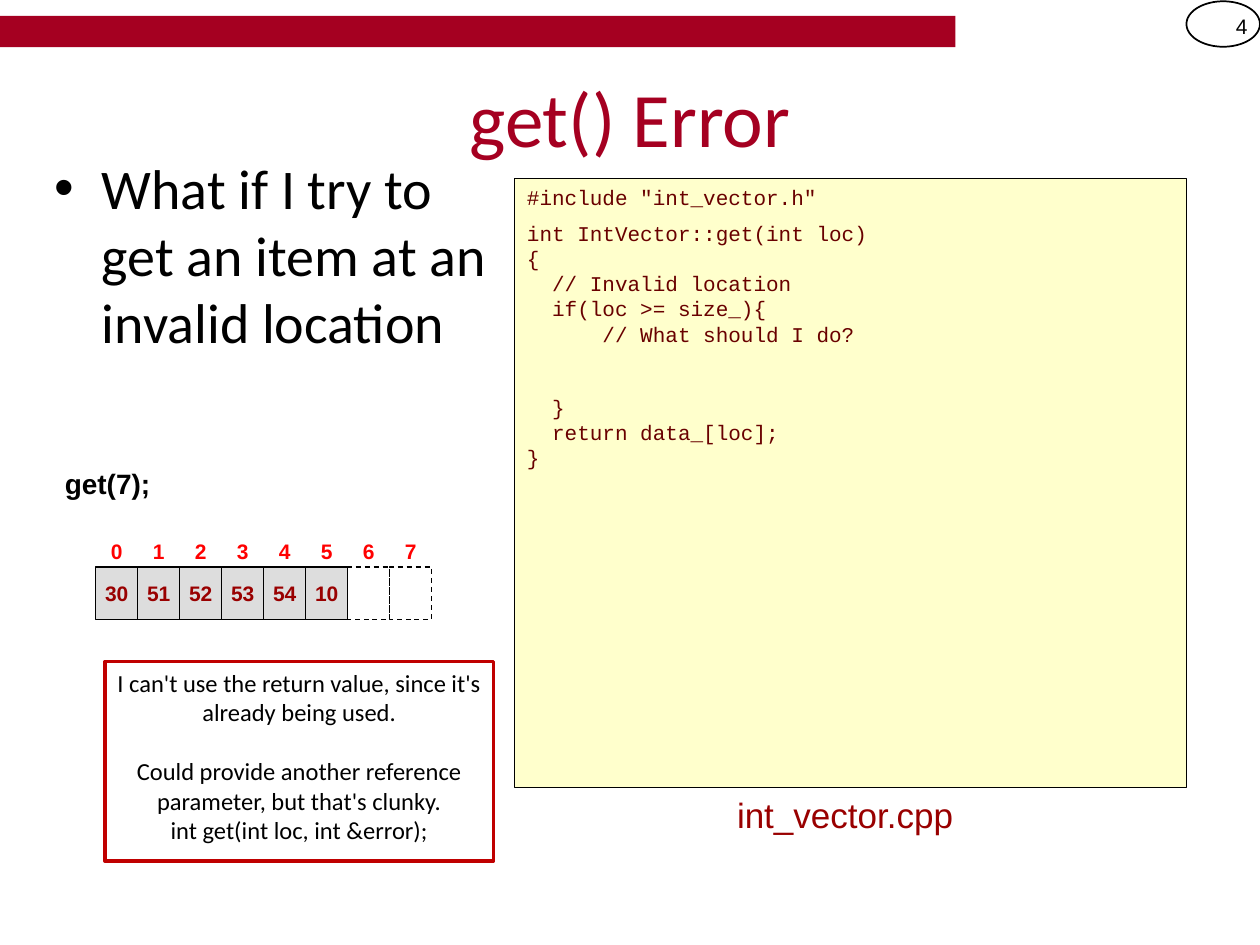
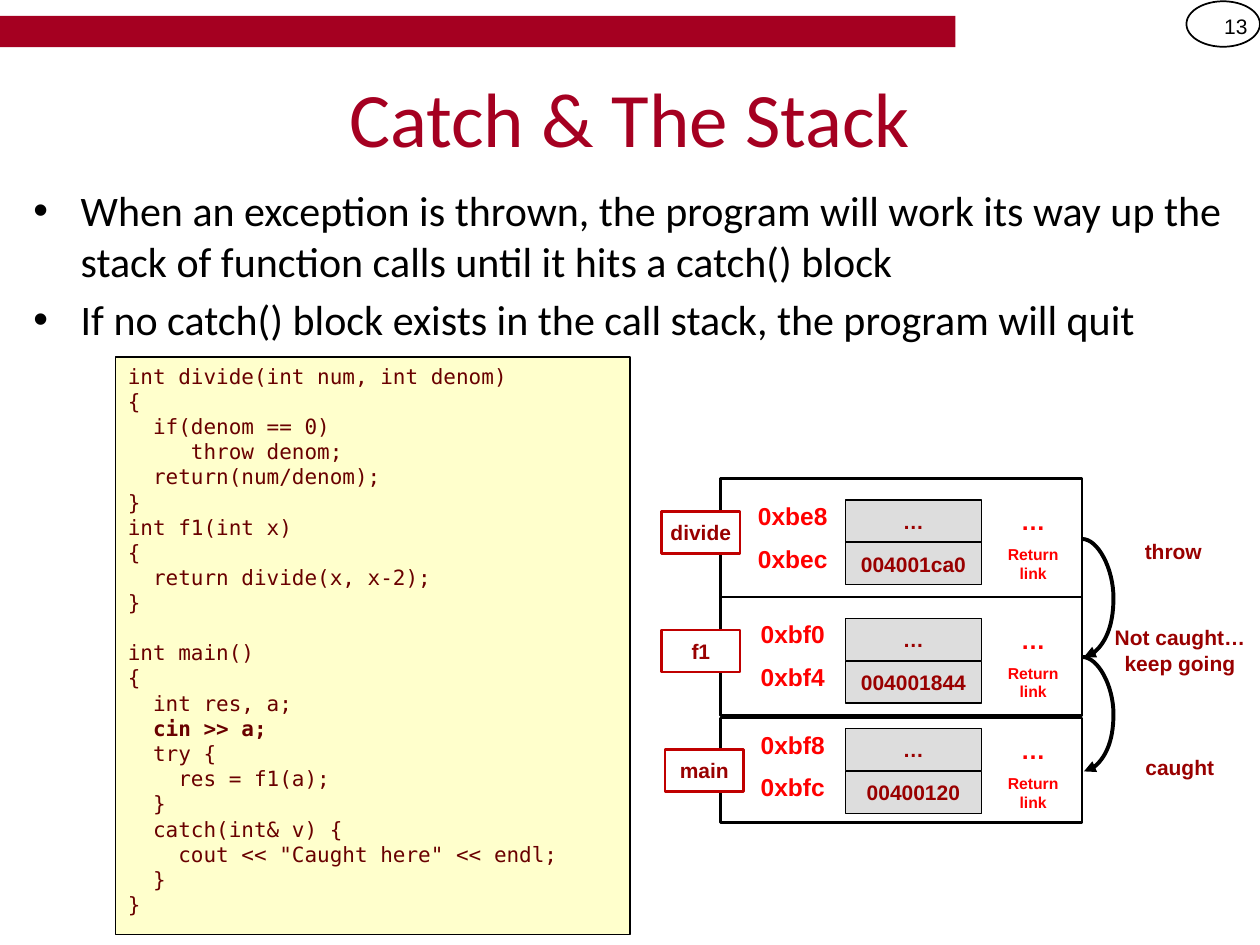
from dataclasses import dataclass

from lxml import etree
from pptx import Presentation
from pptx.dml.color import RGBColor
from pptx.enum import dml, shapes, text
from pptx.oxml import ns
from pptx.util import Pt


@dataclass(frozen=True)
class Theme:
    """Colours, fonts and type sizes of the deck."""
    band: str = "A50021"
    ink: str = "000000"
    paper: str = "FFFFFF"
    code_fill: str = "FFFFCC"
    code_ink: str = "690000"
    cell_fill: str = "DDDDDD"
    dark_red: str = "990000"
    red: str = "FF0000"
    frame_red: str = "C00000"
    body_font: str = "Calibri"
    label_font: str = "Arial"
    title_size: int = 44
    label_size: int = 12
    address_size: int = 14


THEME = Theme()
LEFT, CENTER, RIGHT = (text.PP_ALIGN.LEFT, text.PP_ALIGN.CENTER, text.PP_ALIGN.RIGHT)
TOP, MIDDLE = text.MSO_ANCHOR.TOP, text.MSO_ANCHOR.MIDDLE
RECT, OVAL = shapes.MSO_SHAPE.RECTANGLE, shapes.MSO_SHAPE.OVAL

# Text formats: run values, then paragraph and frame values
LABEL = dict(font=THEME.label_font, size=THEME.label_size, color=THEME.dark_red,
             bold=True, align=CENTER, anchor=MIDDLE, wrap=False)
INDEX = {**LABEL, "color": THEME.red}
ADDRESS = {**INDEX, "size": THEME.address_size}
LINK = {**INDEX, "size": 9}
CALL = {**LABEL, "size": 16, "color": THEME.ink, "align": LEFT}
REMARK = {**LABEL, "wrap": True}
NUMBER = {**REMARK, "bold": False, "color": THEME.ink, "align": RIGHT}
FILE_NAME = dict(font=THEME.label_font, size=20, color=THEME.dark_red, align=CENTER)
CALLOUT = dict(font=THEME.body_font, size=14, color=THEME.ink, align=CENTER)
CODE = dict(size=12, color=THEME.code_ink)
BULLETS = dict(font=THEME.body_font, color=THEME.ink, bullet=True)
TITLE = dict(font=THEME.body_font, size=THEME.title_size, color=THEME.band,
             align=CENTER, anchor=MIDDLE)

# Shape formats
CODE_BOX = dict(fill=THEME.code_fill, line=THEME.ink, weight=0.75)
CELL = dict(fill=THEME.cell_fill, line=THEME.ink, weight=0.75)
FREE_CELL = dict(line=THEME.ink, weight=0.75, dash=True)
FRAME = dict(fill=THEME.paper, line=THEME.ink, weight=1.5)
TAG = dict(fill=THEME.paper, line=THEME.frame_red, weight=1.5)

# Content; a paragraph is a string or (string, format changes)
GET_BULLETS = ["What if I try to get an item at an invalid location"]
GET_CODE = [
    '#include "int_vector.h"',
    ("int IntVector::get(int loc)", {"before": 6}),
    "{",
    "  // Invalid location",
    "  if(loc >= size_){",
    "      // What should I do?",
    ("  }", {"before": 27.2}),
    "  return data_[loc];",
    "}",
]
ARRAY_VALUES = ["30", "51", "52", "53", "54", "10", None, None]
CALLOUT_TEXT = [
    "I can't use the return value, since it's already being used.",
    ("Could provide another reference parameter, but that's clunky.", {"before": 17}),
    "int get(int loc, int &error);",
]
STACK_BULLETS = [
    "When an exception is thrown, the program will work its way up the stack of "
    "function calls until it hits a catch() block",
    "If no catch() block exists in the call stack, the program will quit",
]
STACK_CODE = [
    "int divide(int num, int denom)",
    "{",
    "  if(denom == 0)",
    "     throw denom;",
    "  return(num/denom);",
    "}",
    "int f1(int x)",
    "{",
    "  return divide(x, x-2);",
    "}",
    ("int main()", {"before": 14}),
    "{",
    "  int res, a;",
    ("  cin >> a;", {"bold": True}),
    "  try {",
    "    res = f1(a);",
    "  }",
    "  catch(int& v) {",
    '    cout << "Caught here" << endl;',
    "  }",
    "}",
]
# name, frame top and height, first cell top, tag left and top, (address, value) rows
CALL_STACK = [
    ("divide", 273.6, 67.6, 285.8, 378, 292.3, [("0xbe8", "…"), ("0xbec", "004001ca0")]),
    ("f1", 341.2, 67.6, 353.4, 378, 360, [("0xbf0", "…"), ("0xbf4", "004001844")]),
    ("main", 410.4, 59.8, 416.3, 380, 428.2, [("0xbf8", "…"), ("0xbfc", "00400120")]),
]
REMARKS = [
    (["throw"], (640, 301, 61, 27.4)),
    (["Not caught…", "keep going"], (628.6, 344.2, 91.4, 54.7)),
    (["caught"], (643.7, 424.8, 61, 27.4)),
]
ARROW_STOPS = [308, 375.4, 440.8]


def rgb(value):
    """Turn a hex string into a colour."""
    return RGBColor.from_string(value)


def indent(para, left, first, bullet=False):
    """Set the margins of a paragraph and its bullet, if it has one."""
    props = para._p.get_or_add_pPr()
    props.set("marL", str(Pt(left)))
    props.set("indent", str(Pt(first)))
    if bullet:
        font = etree.SubElement(props, ns.qn("a:buFont"))
        font.set("typeface", THEME.label_font)
        etree.SubElement(props, ns.qn("a:buChar")).set("char", "•")


def write(box, paragraphs, style):
    """Fill a shape with formatted paragraphs."""
    frame = box.text_frame
    settings = dict(word_wrap=style.get("wrap", True), auto_size=text.MSO_AUTO_SIZE.NONE,
                    vertical_anchor=style.get("anchor", TOP))
    for name, value in settings.items():
        setattr(frame, name, value)
    for number, entry in enumerate(paragraphs):
        words, changes = (entry, {}) if isinstance(entry, str) else entry
        look = {**style, **changes}
        para = frame.add_paragraph() if number else frame.paragraphs[0]
        para.alignment = look.get("align", LEFT)
        para.space_before = Pt(look.get("before", 0))
        if look.get("bullet"):
            para.space_before = Pt(look["size"] * 0.2)
            indent(para, 27, -27, bullet=True)
        span = para.add_run()
        span.text = words
        values = dict(name=look["font"], size=Pt(look["size"]), bold=look.get("bold", False))
        for name, value in values.items():
            setattr(span.font, name, value)
        span.font.color.rgb = rgb(look["color"])


def add_text(page, place, paragraphs, style):
    """Add a text box at place (left, top, width, height)."""
    box = page.shapes.add_textbox(*map(Pt, place))
    write(box, paragraphs, style)


def add_shape(page, place, look, paragraphs=(), style=LABEL, kind=RECT):
    """Add a preset shape with its fill, line and text."""
    box = page.shapes.add_shape(kind, *map(Pt, place))
    box.shadow.inherit = False
    if "fill" in look:
        box.fill.solid()
        box.fill.fore_color.rgb = rgb(look["fill"])
    else:
        box.fill.background()
    if "line" in look:
        box.line.color.rgb = rgb(look["line"])
        box.line.width = Pt(look["weight"])
        if look.get("dash"):
            box.line.dash_style = dml.MSO_LINE.DASH
    else:
        box.line.fill.background()
    if paragraphs:
        write(box, paragraphs, style)


def add_return_arrow(page, left, top, bottom):
    """Add a curved arrow that bulges 18 points to the right."""
    arrow = page.shapes.add_connector(shapes.MSO_CONNECTOR.CURVE, *map(
        Pt, (left, top, left + 1, bottom)))
    arrow.line.color.rgb = rgb(THEME.ink)
    arrow.line.width = Pt(2.25)
    props = arrow._element.spPr
    guides = props.find(ns.qn("a:prstGeom")).get_or_add_avLst()
    guide = etree.SubElement(guides, ns.qn("a:gd"))
    guide.set("name", "adj1")
    guide.set("fmla", "val 1800000")
    etree.SubElement(props.find(ns.qn("a:ln")), ns.qn("a:tailEnd")).set("type", "triangle")
    etree.SubElement(props, ns.qn("a:effectLst"))


def add_page(deck, title, number):
    """Add a slide with the band, the page number and the title."""
    page = deck.slides.add_slide(deck.slide_layouts[5])
    add_shape(page, (0, 9, 546, 18), dict(fill=THEME.band))
    add_shape(page, (678, 0.75, 42, 26), dict(line=THEME.ink, weight=1), kind=OVAL)
    add_text(page, (678, 0.75, 42, 28.8), [number], NUMBER)
    box = page.shapes.title
    for name, value in zip(("left", "top", "width", "height"), (36, 21.6, 648, 90)):
        setattr(box, name, Pt(value))
    write(box, [title], TITLE)
    return page


def add_array(page, left, top, cell_width, cell_height):
    """Draw the array: an index above each cell, free cells dashed."""
    for index, value in enumerate(ARRAY_VALUES):
        x = left + index * cell_width
        add_text(page, (x, top - 18, cell_width, 18), [str(index)], INDEX)
        add_shape(page, (x, top, cell_width, cell_height),
                  CELL if value else FREE_CELL, [value] if value else [])


def add_call_stack(page):
    """Draw one frame per call, with its addresses, values and name tag."""
    notes = [(["…"], ADDRESS), (["Return", "link"], LINK)]
    for name, top, height, first, tag_left, tag_top, rows in CALL_STACK:
        add_shape(page, (411.8, top, 206.6, height), FRAME)
        for row, (address, value) in enumerate(rows):
            y = first + row * 24.4
            add_shape(page, (483, y, 78, 24), CELL, [value])
            add_text(page, (423, y, 60, 18), [address], ADDRESS)
            add_text(page, (572.4, y + 3, 36, 18), *notes[row])
        add_shape(page, (tag_left, tag_top, 45, 24), TAG, [name])


def build_get_page(deck):
    """Build the slide on reading an invalid location."""
    page = add_page(deck, "get() Error", "4")
    add_text(page, (24, 84, 264, 156), GET_BULLETS, {**BULLETS, "size": 32})
    add_shape(page, (294, 102, 384, 348), CODE_BOX, GET_CODE,
              {**CODE, "font": "Courier New"})
    add_text(page, (354, 450, 258, 36), ["int_vector.cpp"], FILE_NAME)
    add_text(page, (30, 264, 126, 24), ["get(7);"], CALL)
    add_array(page, 54.7, 324, 24, 30)
    add_shape(page, (60, 378, 222, 114), {**TAG, "weight": 2}, CALLOUT_TEXT, CALLOUT)


def build_stack_page(deck):
    """Build the slide on how an exception climbs the call stack."""
    page = add_page(deck, "Catch & The Stack", "13")
    add_text(page, (12, 102, 702, 402), STACK_BULLETS, {**BULLETS, "size": 24})
    add_shape(page, (66, 204, 294, 330), CODE_BOX, STACK_CODE,
              {**CODE, "font": "DejaVu Sans Mono"})
    add_call_stack(page)
    for start, end in zip(ARROW_STOPS, ARROW_STOPS[1:]):
        add_return_arrow(page, 618.4, start, end)
    for words, place in REMARKS:
        add_text(page, place, words, REMARK)


deck = Presentation()
deck.slide_width, deck.slide_height = Pt(720), Pt(540)
build_get_page(deck)
build_stack_page(deck)
deck.save("out.pptx")
